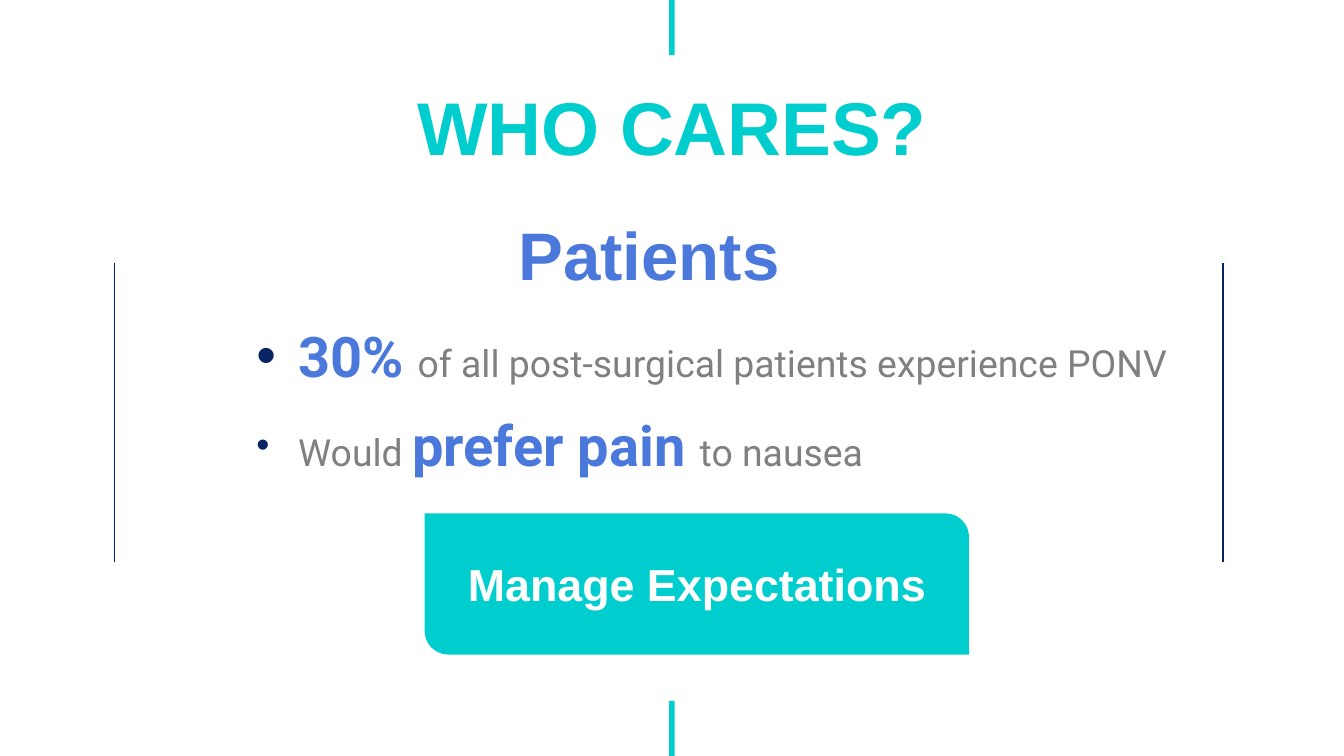
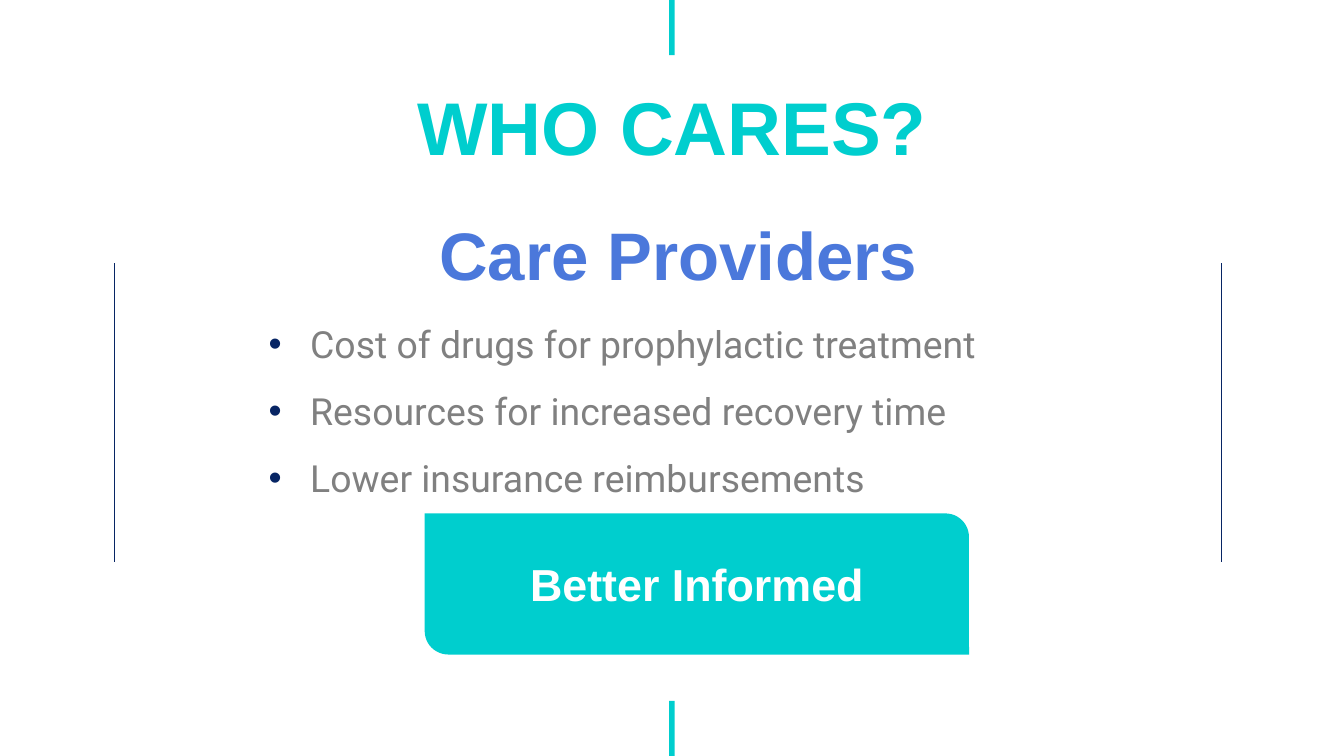
import pptx
import pptx.util
import pptx.dml.color
import pptx.enum.shapes
import pptx.enum.text
import pptx.oxml
import pptx.oxml.ns

RGB = pptx.dml.color.RGBColor
SHAPE = pptx.enum.shapes.MSO_SHAPE
ALIGN = pptx.enum.text.PP_ALIGN
ANCHOR = pptx.enum.text.MSO_ANCHOR

TEAL = RGB(0x00, 0xCE, 0xCE)
BLUE = RGB(0x4B, 0x78, 0xDB)
NAVY = RGB(0x07, 0x25, 0x64)
GRAY = RGB(0x80, 0x80, 0x80)
WHITE = RGB(0xFF, 0xFF, 0xFF)
HEAD_FONT, BODY_FONT = "Arial", "Roboto"

PX = 914400 // 200
WIDTH, HEIGHT = 2000, 1125
INSET, INDENT = 20, 62
BAR_W, BAR_H = 8, 82
RULE_TOP, RULE_BOTTOM = 392, 836


def px(*values):
    return [v * PX for v in values]


def add_run(p, text, size=20, color=GRAY, font=BODY_FONT, bold=False):
    r = p.add_run()
    r.text = text
    r.font.size = pptx.util.Pt(size)
    r.font.name = font
    r.font.bold = bold
    r.font.color.rgb = color


def setup_frame(sp, anchor):
    tf = sp.text_frame
    tf.word_wrap = True
    tf.vertical_anchor = anchor
    tf.margin_left = tf.margin_right = tf.margin_top = tf.margin_bottom = INSET * PX
    return tf


def add_heading(sp, text, size, color, align=ALIGN.CENTER, anchor=ANCHOR.MIDDLE):
    p = setup_frame(sp, anchor).paragraphs[0]
    p.alignment = align
    add_run(p, text, size, color, HEAD_FONT, True)


def add_block(slide, box, kind=SHAPE.RECTANGLE):
    sp = slide.shapes.add_shape(kind, *px(*box))
    sp.shadow.inherit = False
    sp.fill.solid()
    sp.fill.fore_color.rgb = TEAL
    sp.line.fill.background()
    return sp


def add_rule(slide, x):
    line = slide.shapes.add_connector(
        pptx.enum.shapes.MSO_CONNECTOR.STRAIGHT, *px(x, RULE_TOP, x, RULE_BOTTOM))
    line.line.color.rgb = NAVY
    line.line.width = pptx.util.Pt(0.75)
    line._element.spPr.append(pptx.oxml.parse_xml(
        f"<a:effectLst {pptx.oxml.ns.nsdecls('a')}/>"))


def set_bullet(p):
    pPr = p._p.get_or_add_pPr()
    pPr.set("marL", str(INDENT * PX))
    pPr.set("indent", str(-INDENT * PX))
    p.space_after = pptx.util.Pt(12)
    ns = pptx.oxml.ns.nsdecls("a")
    for xml in (f'<a:buClr {ns}><a:srgbClr val="{NAVY}"/></a:buClr>',
                f'<a:buFont {ns} typeface="Arial"/>',
                f'<a:buChar {ns} char="•"/>'):
        pPr.append(pptx.oxml.parse_xml(xml))


def add_bullets(slide, box, items):
    """Each item is a list of (text, emphasised) pairs."""
    tf = setup_frame(slide.shapes.add_textbox(*px(*box)), ANCHOR.TOP)
    for i, item in enumerate(items):
        p = tf.add_paragraph() if i else tf.paragraphs[0]
        set_bullet(p)
        for text, strong in item:
            if strong:
                add_run(p, text, 30, BLUE, bold=True)
            else:
                add_run(p, text)


def add_frame(slide, title):
    # Centre bars at the top and bottom edges
    for y in (0, HEIGHT - BAR_H):
        add_block(slide, ((WIDTH - BAR_W) // 2, y, BAR_W, BAR_H))
    # Title
    sp = slide.shapes.add_textbox(*px(380, 100, 1240, 276))
    add_heading(sp, title, 40, TEAL, anchor=ANCHOR.TOP)


def add_button(slide, box, text):
    sp = add_block(slide, box, SHAPE.ROUND_2_DIAG_RECTANGLE)
    sp.adjustments[0], sp.adjustments[1] = 0, 0.167
    add_heading(sp, text, 24, WHITE)


def add_audience_slide(prs, audience, audience_box, items, items_box, right_rule, action):
    slide = prs.slides.add_slide(prs.slide_layouts[6])
    add_frame(slide, "WHO CARES?")
    # Audience name
    sp = slide.shapes.add_textbox(*px(*audience_box))
    add_heading(sp, audience, 36, BLUE, ALIGN.LEFT)
    # Side rules
    for x in (170, right_rule):
        add_rule(slide, x)
    # Concerns and the resulting action
    add_bullets(slide, items_box, items)
    add_button(slide, (632, 764, 810, 210), action)


def main():
    prs = pptx.Presentation()
    prs.slide_width, prs.slide_height = px(WIDTH, HEIGHT)
    add_audience_slide(
        prs, "Patients", (752, 328, 674, 100),
        [[("30% ", True), ("of all post-surgical patients experience PONV", False)],
         [("Would ", False), ("prefer pain ", True), ("to nausea", False)]],
        (362, 458, 1456, 276), 1820, "Manage Expectations")
    add_audience_slide(
        prs, "Care Providers", (634, 328, 924, 100),
        [[("Cost of drugs for prophylactic treatment", False)],
         [("Resources for increased recovery time", False)],
         [("Lower insurance reimbursements", False)]],
        (380, 458, 1300, 476), 1818, "Better Informed")
    prs.save("out.pptx")


if __name__ == "__main__":
    main()
